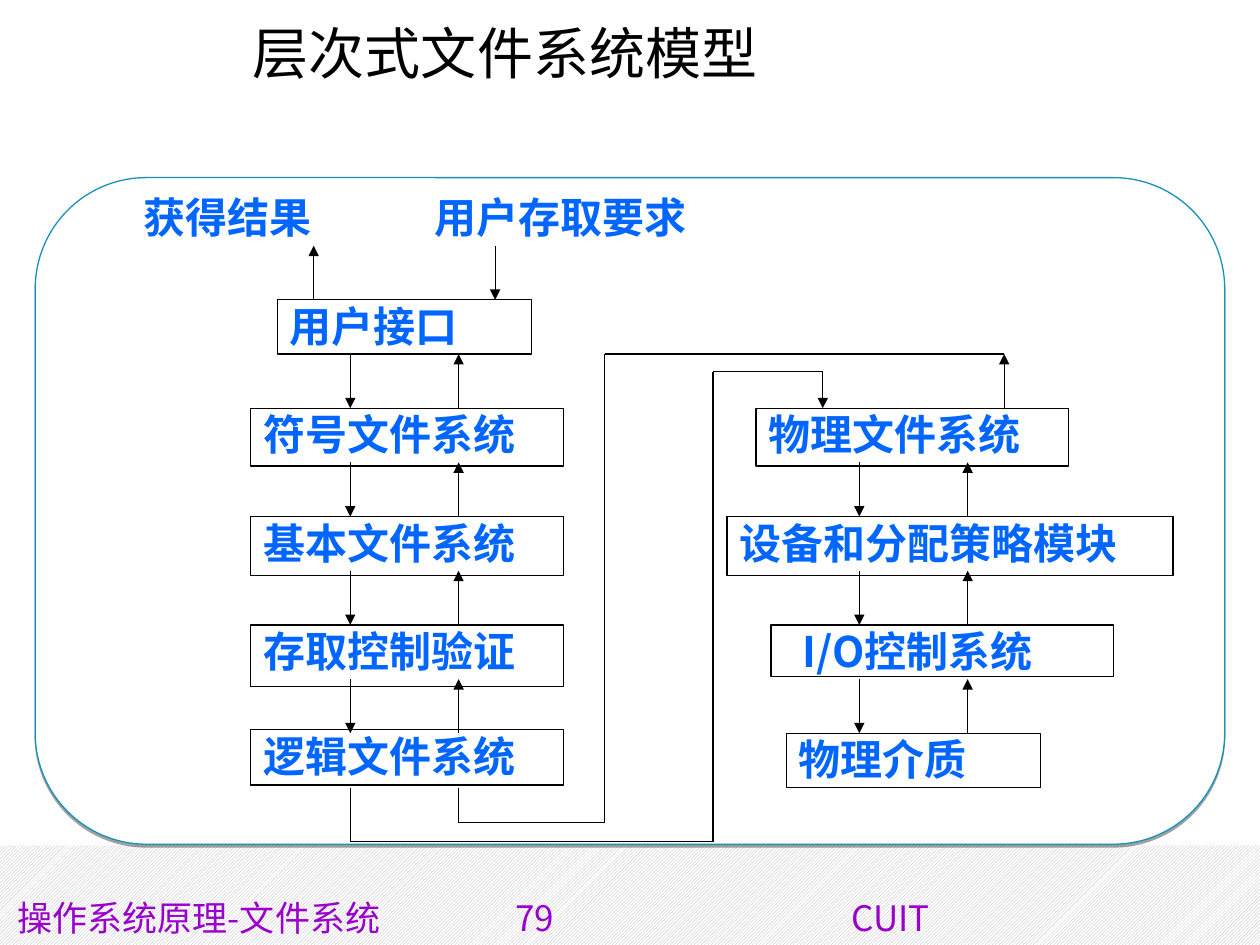
"""Build the slide showing the layered file system model."""
from pptx import Presentation
from pptx.dml.color import RGBColor
from pptx.enum.dml import MSO_PATTERN
from pptx.enum.shapes import MSO_CONNECTOR, MSO_SHAPE as SHAPE
from pptx.enum.text import MSO_ANCHOR, PP_ALIGN as ALIGN
from pptx.oxml import parse_xml
from pptx.oxml.ns import nsdecls, qn
from pptx.util import Inches, Pt
from lxml.etree import SubElement

BLACK = RGBColor(0x00, 0x00, 0x00)
WHITE = RGBColor(0xFF, 0xFF, 0xFF)
BLUE = RGBColor(0x00, 0x66, 0xFF)
TEAL = RGBColor(0x17, 0x90, 0xBB)
PURPLE = RGBColor(0x99, 0x00, 0xCC)
GREY = RGBColor(0xB2, 0xB2, 0xB2)
FONT = "Noto Sans CJK JP"


def format_paragraph(para, size, color, align, bold=False, fonts=(FONT,)):
    para.alignment = align
    para.line_spacing = 0.9
    para.space_before = Pt(0)
    for span, name in zip(para.runs, fonts):
        font = span.font
        font.size, font.bold, font.name = Pt(size), bold, name
        font.color.rgb = color
        SubElement(font._element, qn("a:ea")).set("typeface", name)


def add_line(start, end, arrow=False):
    points = [Inches(value) for value in (*start, *end)]
    line = slide.shapes.add_connector(MSO_CONNECTOR.STRAIGHT, *points)
    line.line.color.rgb = BLACK
    line.line.width = Pt(0.75)
    if arrow:
        SubElement(line.line._get_or_add_ln(), qn("a:tailEnd")).set("type", "triangle")
    SubElement(line._element.spPr, qn("a:effectLst"))


deck = Presentation()
deck.slide_width, deck.slide_height = Inches(10), Inches(7.5)
slide = deck.slides.add_slide(deck.slide_layouts[5])

band = slide.shapes.add_shape(SHAPE.RECTANGLE, 0, Inches(6.71), Inches(10), Inches(0.79))
band.shadow.inherit = False
band.fill.patterned()
band.fill.pattern = MSO_PATTERN.DARK_UPWARD_DIAGONAL
band.fill.fore_color.rgb = GREY
band.fill.back_color.rgb = WHITE
band.line.fill.background()

panel = slide.shapes.add_shape(
    SHAPE.ROUNDED_RECTANGLE, Inches(0.28), Inches(1.41), Inches(9.44), Inches(5.29))
panel.fill.solid()
panel.fill.fore_color.rgb = WHITE
panel.line.color.rgb = TEAL
panel.line.width = Pt(0.75)
panel._element.spPr.append(parse_xml(
    f'<a:effectLst {nsdecls("a")}><a:outerShdw dist="20320" dir="5400000" rotWithShape="0">'
    '<a:srgbClr val="000000"><a:alpha val="37000"/></a:srgbClr></a:outerShdw></a:effectLst>'))

footer = slide.shapes.add_textbox(Inches(0.04), Inches(7.1), Inches(10), Inches(0.4))
footer.text_frame.word_wrap = True
para = footer.text_frame.paragraphs[0]
para.add_run().text = "操作系统原理-文件系统"
para.add_run().text = "\t79\tCUIT"
format_paragraph(para, 20, PURPLE, ALIGN.LEFT, fonts=("Noto Sans CJK SC", "Noto Sans CJK KR"))
tabs = SubElement(para._p.get_or_add_pPr(), qn("a:tabLst"))
for position in (3.95, 6.62):
    SubElement(tabs, qn("a:tab"), pos=str(Inches(position)), algn="l")

title = slide.shapes.title
title.left, title.top, title.width, title.height = map(Inches, (0.5, 0.16, 7.02, 1.24))
title.text_frame.text = "层次式文件系统模型"
title.text_frame.vertical_anchor = MSO_ANCHOR.TOP
format_paragraph(title.text_frame.paragraphs[0], 32, BLACK, ALIGN.CENTER)

BOXES = [
    ("获得结果", 1.04, 1.52, 1.73, 0.43, False, 0.1),
    ("用户存取要求", 3.35, 1.52, 2.65, 0.44, False, 0.1),
    ("用户接口", 2.2, 2.38, 2.02, 0.43, True, 0.1),
    ("符号文件系统", 1.99, 3.24, 2.48, 0.46, True, 0.1),
    ("基本文件系统", 1.99, 4.1, 2.48, 0.47, True, 0.1),
    ("存取控制验证", 1.99, 4.96, 2.48, 0.49, True, 0.1),
    ("逻辑文件系统", 1.99, 5.79, 2.48, 0.44, True, 0.1),
    ("物理文件系统", 6, 3.24, 2.48, 0.46, True, 0.1),
    ("设备和分配策略模块", 5.77, 4.1, 3.54, 0.47, True, 0.1),
    ("I/O控制系统", 6.12, 4.96, 2.72, 0.41, True, 0.25),
    ("物理介质", 6.24, 5.82, 2.02, 0.43, True, 0.1),
]
for text, left, top, width, height, outlined, margin in BOXES:
    box = slide.shapes.add_shape(SHAPE.RECTANGLE, *map(Inches, (left, top, width, height)))
    box.shadow.inherit = False
    box.fill.solid()
    box.fill.fore_color.rgb = WHITE
    if outlined:
        box.line.color.rgb = BLACK
        box.line.width = Pt(0.75)
    else:
        box.line.fill.background()
    frame = box.text_frame
    frame.text = text
    frame.word_wrap = True
    frame.vertical_anchor = MSO_ANCHOR.TOP
    frame.margin_left = Inches(margin)
    format_paragraph(frame.paragraphs[0], 24, BLUE, ALIGN.JUSTIFY, bold=True)

STEP, GAP = 0.86, 0.43
for down, up, first, count in ((2.78, 3.64, 2.81, 4), (6.82, 7.68, 3.67, 3)):
    for index in range(count):
        upper = first + index * STEP
        add_line((down, upper), (down, upper + GAP), arrow=True)
        add_line((up, upper + GAP), (up, upper), arrow=True)
add_line((2.49, 2.38), (2.49, 1.95), arrow=True)
add_line((3.93, 1.95), (3.93, 2.38), arrow=True)

RETURN_ROUTE = [(3.64, 6.25), (3.64, 6.53), (4.8, 6.53), (4.8, 2.81), (7.97, 2.81)]
REQUEST_ROUTE = [(2.78, 6.25), (2.78, 6.68), (5.66, 6.68), (5.66, 2.95), (6.53, 2.95)]
for route in (RETURN_ROUTE, REQUEST_ROUTE):
    for start, end in zip(route, route[1:]):
        add_line(start, end)
add_line((7.97, 3.24), (7.97, 2.81), arrow=True)
add_line((6.53, 2.95), (6.53, 3.24), arrow=True)

deck.save("out.pptx")
